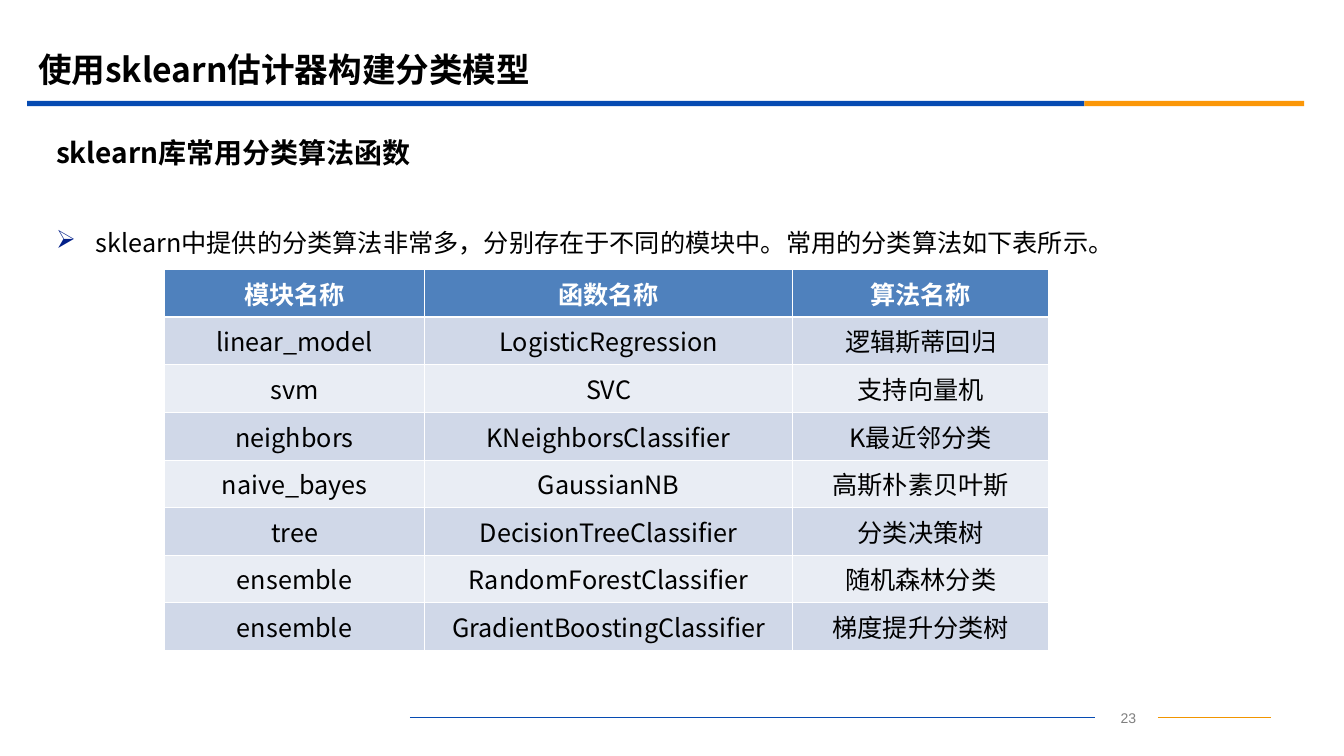
import pptx
import pptx.dml.color
import pptx.enum.shapes
import pptx.enum.text
import pptx.oxml
import pptx.oxml.ns
import pptx.util
from lxml import etree

Pt = pptx.util.Pt
qn = pptx.oxml.ns.qn
ALIGN = pptx.enum.text.PP_ALIGN
ANCHOR = pptx.enum.text.MSO_ANCHOR

COLORS = {
    "text": "000000",
    "white": "FFFFFF",
    "page": "7F7F7F",
    "blue": "064BB2",
    "orange": "FB9708",
    "footer_orange": "F19500",
    "bullet": "032089",
    "header": "4F81BD",
    "band_dark": "D0D8E8",
    "band_light": "E9EDF4",
}
CJK_FONT = "Noto Sans CJK SC"

CLASSIFIERS = [
    ("模块名称", "函数名称", "算法名称"),
    ("linear_model", "LogisticRegression", "逻辑斯蒂回归"),
    ("svm", "SVC", "支持向量机"),
    ("neighbors", "KNeighborsClassifier", "K最近邻分类"),
    ("naive_bayes", "GaussianNB", "高斯朴素贝叶斯"),
    ("tree", "DecisionTreeClassifier", "分类决策树"),
    ("ensemble", "RandomForestClassifier", "随机森林分类"),
    ("ensemble", "GradientBoostingClassifier", "梯度提升分类树"),
]
COLUMN_WIDTHS = [186, 263, 183]
ROW_HEIGHT = 34


def rgb(color):
    return pptx.dml.color.RGBColor.from_string(COLORS[color])


def add_run(paragraph, text, size, color="text", bold=False, font=CJK_FONT):
    run = paragraph.add_run()
    run.text = text
    run.font.size = Pt(size)
    run.font.bold = bold
    run.font.color.rgb = rgb(color)
    run.font.name = font
    etree.SubElement(run.font._element, qn("a:ea"), typeface=font)


def add_text_box(slide, left, top, width, height, anchor=ANCHOR.TOP):
    box = slide.shapes.add_textbox(Pt(left), Pt(top), Pt(width), Pt(height))
    box.text_frame.word_wrap = True
    box.text_frame.vertical_anchor = anchor
    return box


def set_title(slide, text):
    title = slide.shapes.title
    title.left, title.top, title.width, title.height = Pt(20), Pt(28), Pt(864), Pt(42)
    frame = title.text_frame
    frame.auto_size = pptx.enum.text.MSO_AUTO_SIZE.NONE
    frame.vertical_anchor = ANCHOR.MIDDLE
    frame.paragraphs[0].alignment = ALIGN.LEFT
    add_run(frame.paragraphs[0], text, 24, bold=True)


def add_rule_bar(slide, left, width, color):
    bar = slide.shapes.add_shape(
        pptx.enum.shapes.MSO_SHAPE.RECTANGLE, Pt(left), Pt(72), Pt(width), Pt(3.8))
    bar.shadow.inherit = False
    bar.fill.solid()
    bar.fill.fore_color.rgb = rgb(color)
    bar.line.fill.background()


def add_footer_line(slide, start, end, y, color):
    line = slide.shapes.add_connector(
        pptx.enum.shapes.MSO_CONNECTOR.STRAIGHT, Pt(start), Pt(y), Pt(end), Pt(y))
    line.line.color.rgb = rgb(color)
    line.line.width = Pt(0.75)
    etree.SubElement(line._element.spPr, qn("a:effectLst"))
    return line


def add_footer(slide, number):
    page = add_text_box(slide, 782.5, 503.5, 45, 18)
    page.text_frame.margin_left = Pt(10)
    paragraph = page.text_frame.paragraphs[0]
    paragraph.alignment = ALIGN.CENTER
    add_run(paragraph, number, 10, "page", font="Arial")
    add_footer_line(slide, 293, 782.5, 512.5, "blue").end_connect(page, 3 - 2)
    add_footer_line(slide, 827.5, 908, 512.5, "footer_orange").begin_connect(page, 3)


def add_bullet(paragraph, symbol, color, indent):
    properties = paragraph._p.get_or_add_pPr()
    properties.set("marL", str(Pt(indent)))
    properties.set("indent", str(-Pt(indent)))
    bullet_color = etree.SubElement(properties, qn("a:buClr"))
    etree.SubElement(bullet_color, qn("a:srgbClr"), val=COLORS[color])
    etree.SubElement(properties, qn("a:buChar"), char=symbol)


def add_border(cell, side, width):
    border = etree.SubElement(
        cell._tc.get_or_add_tcPr(), qn("a:ln" + side), w=str(Pt(width)))
    fill = etree.SubElement(border, qn("a:solidFill"))
    etree.SubElement(fill, qn("a:srgbClr"), val=COLORS["white"])


def fill_cell(cell, text, row):
    """Write one cell, with a thicker border between header and body."""
    is_header = row == 0
    thick_side = {0: "B", 1: "T"}.get(row)
    for side in "LRTB":
        add_border(cell, side, 1.47 if side == thick_side else 0.45)
    cell.fill.solid()
    band = "band_dark" if row % 2 else "band_light"
    cell.fill.fore_color.rgb = rgb("header" if is_header else band)
    cell.vertical_anchor = ANCHOR.MIDDLE
    cell.margin_left = cell.margin_right = Pt(3)
    cell.margin_top = cell.margin_bottom = Pt(3.6)
    paragraph = cell.text_frame.paragraphs[0]
    paragraph.alignment = ALIGN.CENTER
    add_run(paragraph, text, 18, "white" if is_header else "text", is_header)


def add_classifier_table(slide, left, top):
    table = slide.shapes.add_table(
        len(CLASSIFIERS), len(COLUMN_WIDTHS), Pt(left), Pt(top),
        Pt(sum(COLUMN_WIDTHS)), Pt(ROW_HEIGHT * len(CLASSIFIERS))).table
    for column, width in zip(table.columns, COLUMN_WIDTHS):
        column.width = Pt(width)
    for row, texts in enumerate(CLASSIFIERS):
        table.rows[row].height = Pt(ROW_HEIGHT)
        for column, text in enumerate(texts):
            fill_cell(table.cell(row, column), text, row)


def main():
    deck = pptx.Presentation()
    deck.slide_width, deck.slide_height = Pt(960.5), Pt(540)
    slide = deck.slides.add_slide(deck.slide_layouts[5])

    add_footer(slide, "23")
    add_rule_bar(slide, 19.5, 755.5, "blue")
    add_rule_bar(slide, 775, 157, "orange")
    set_title(slide, "使用sklearn估计器构建分类模型")

    subtitle = add_text_box(slide, 33, 91.5, 875, 34, ANCHOR.MIDDLE)
    add_run(subtitle.text_frame.paragraphs[0], "sklearn库常用分类算法函数", 20, bold=True)

    intro = add_text_box(slide, 33, 148, 875, 334)
    paragraph = intro.text_frame.paragraphs[0]
    add_bullet(paragraph, "➢", "bullet", 28.5)
    paragraph.line_spacing = 1.5
    add_run(paragraph, "sklearn中提供的分类算法非常多，分别存在于不同的模块中。"
            "常用的分类算法如下表所示。", 18)

    add_classifier_table(slide, 117.5, 192.5)
    deck.save("out.pptx")


if __name__ == "__main__":
    main()
